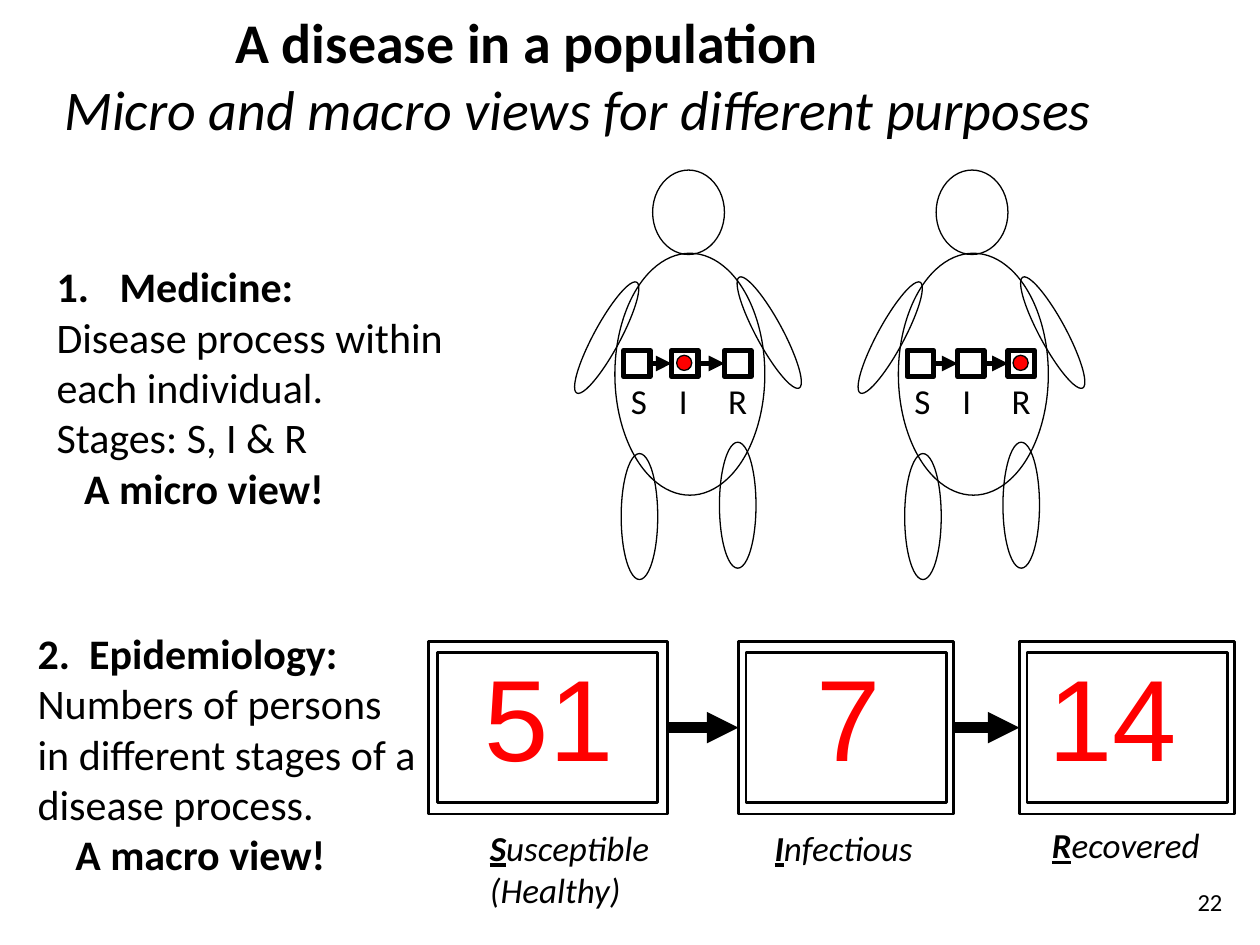
from itertools import pairwise

from lxml.etree import SubElement
from pptx import Presentation
from pptx.dml.color import RGBColor
from pptx.enum.shapes import MSO_CONNECTOR, MSO_SHAPE
from pptx.enum.text import PP_ALIGN
from pptx.oxml.ns import qn
from pptx.util import Inches, Pt

COLORS = {"ink": "000000", "alert": "FF0000"}


class DiseaseSlide:
    """Draw the elements of the disease slide in one shared style."""

    def __init__(self, slide, font="Calibri"):
        self.slide = slide
        self.font = font

    def color(self, name):
        return RGBColor.from_string(COLORS[name])

    def style(self, run, size, color="ink", font=None, **flags):
        run.font.size = Pt(size)
        run.font.name = font or self.font
        run.font.color.rgb = self.color(color)
        for flag, value in flags.items():
            setattr(run.font, flag, value)

    def text(self, box, lines, size, align=PP_ALIGN.LEFT, **look):
        frame = self.slide.shapes.add_textbox(*map(Inches, box)).text_frame
        frame.word_wrap = True
        frame.text = "\n".join(lines)
        for paragraph in frame.paragraphs:
            paragraph.alignment = align
            for run in paragraph.runs:
                self.style(run, size, **look)
        return frame.paragraphs

    def indent(self, paragraph, left, first=0):
        properties = paragraph._p.get_or_add_pPr()
        properties.set("marL", str(Inches(left)))
        properties.set("indent", str(Inches(first)))
        return properties

    def view(self, box, lines, number, hanging, closing_indent):
        paragraphs = self.text(box, lines, 24)
        heading, closing = paragraphs[0], paragraphs[-1]
        properties = self.indent(heading, hanging, -hanging)
        SubElement(properties, qn("a:buFont"), typeface="+mj-lt")
        SubElement(properties, qn("a:buAutoNum"), type="arabicPeriod", startAt=str(number))
        self.indent(closing, closing_indent)
        for paragraph in (heading, closing):
            paragraph.runs[0].font.bold = True

    def outline(self, kind, box, width, fill=None, rotation=0):
        shape = self.slide.shapes.add_shape(kind, *map(Inches, box))
        shape.shadow.inherit = False
        shape.rotation = rotation
        shape.line.color.rgb = self.color("ink")
        shape.line.width = Pt(width)
        if fill:
            shape.fill.solid()
            shape.fill.fore_color.rgb = self.color(fill)
        else:
            shape.fill.background()
        return shape

    def arrow(self, source, target, width):
        connector = self.slide.shapes.add_connector(MSO_CONNECTOR.STRAIGHT, 0, 0, 0, 0)
        connector.begin_connect(source, 3)
        connector.end_connect(target, 1)
        connector.line.color.rgb = self.color("ink")
        connector.line.width = Pt(width)
        SubElement(connector.line._get_or_add_ln(), qn("a:tailEnd"), type="triangle")
        SubElement(connector._element.spPr, qn("a:effectLst"))

    def chain(self, boxes, box_width, arrow_width):
        stages = [self.outline(MSO_SHAPE.RECTANGLE, box, box_width) for box in boxes]
        for source, target in pairwise(stages):
            self.arrow(source, target, arrow_width)

    def person(self, left, stage_lefts, current):
        limbs = [
            (0, 2.01, 1.19, 1.92, 0),
            (0.3, 1.35, 0.57, 0.67, 0),
            (0.83, 3.51, 0.29, 1, 0),
            (0.05, 3.6, 0.29, 1, 0),
            (1.12, 2.14, 0.21, 1, 331.6),
            (-0.17, 2.18, 0.21, 1, 28.4),
        ]
        for offset, top, width, height, rotation in limbs:
            box = (left + offset, top, width, height)
            self.outline(MSO_SHAPE.OVAL, box, 0.75, rotation=rotation)
        self.chain([(x, 2.78, 0.21, 0.21) for x in stage_lefts], 3, 3)
        marker = (stage_lefts[current] + 0.04, 2.82, 0.12, 0.12)
        self.outline(MSO_SHAPE.OVAL, marker, 0.75, fill="alert")
        letters = self.text((left + 0.03, 2.96, 1.23, 0.44), ["S\tI\tR"], 20)[0]
        tabs = SubElement(letters._p.get_or_add_pPr(), qn("a:tabLst"))
        for stop in (0.38, 0.77):
            SubElement(tabs, qn("a:tab"), pos=str(Inches(stop)), algn="l")

    def stage_label(self, box, name, note=None):
        paragraph = self.text(box, [name[0]], 20, bold=True, italic=True, underline=True)[0]
        rest = paragraph.add_run()
        rest.text = name[1:]
        self.style(rest, 20, italic=True)
        if note:
            paragraph.add_line_break()
            remark = paragraph.add_run()
            remark.text = note
            self.style(remark, 20, italic=True)


def main():
    deck = Presentation()
    deck.slide_width, deck.slide_height = Inches(10), Inches(7.5)
    page = DiseaseSlide(deck.slides.add_slide(deck.slide_layouts[6]))

    title, subtitle = page.text(
        (-0.12, 0.01, 9.42, 1.18),
        ["A disease in a population", "Micro and macro views for different purposes"],
        32,
    )
    page.indent(title, 1.89)
    title.runs[0].font.bold = True
    subtitle.alignment = PP_ALIGN.CENTER
    subtitle.runs[0].font.italic = True

    page.view(
        (0.35, 2.02, 3.58, 2.12),
        ["Medicine:", "Disease process within", "each individual.",
         "Stages: S, I & R", "A micro view!"],
        1, 0.5, 0.22,
    )
    page.person(4.88, (4.95, 5.33, 5.75), current=1)
    page.person(7.13, (7.2, 7.6, 8), current=2)

    page.view(
        (0.2, 4.93, 3.22, 2.26),
        ["Epidemiology:",
         "Numbers of persons in different stages of a disease process.",
         "A macro view!"],
        2, 0.41, 0.3,
    )
    frames = [(3.4, 1.9), (5.86, 1.71), (8.09, 1.71)]
    page.chain([(left, 5.09, width, 1.37) for left, width in frames], 1.5, 6)
    for left, width in [(3.47, 1.75), (5.92, 1.59), (8.15, 1.59)]:
        page.outline(MSO_SHAPE.RECTANGLE, (left, 5.18, width, 1.19), 1.5)
    for count, left, width in [("51", 3.75, 1.23), ("7", 6.38, 0.75), ("14", 8.22, 1.45)]:
        page.text((left, 5.08, width, 1.21), [count], 66, color="alert", font="Arial")
    page.stage_label((3.79, 6.51, 1.54, 0.83), "Susceptible", "(Healthy)")
    page.stage_label((6.05, 6.51, 1.34, 0.47), "Infectious")
    page.stage_label((8.25, 6.49, 1.48, 0.47), "Recovered")
    page.text((9.28, 6.99, 0.52, 0.5), ["22"], 14, align=PP_ALIGN.RIGHT)

    deck.save("out.pptx")


if __name__ == "__main__":
    main()
